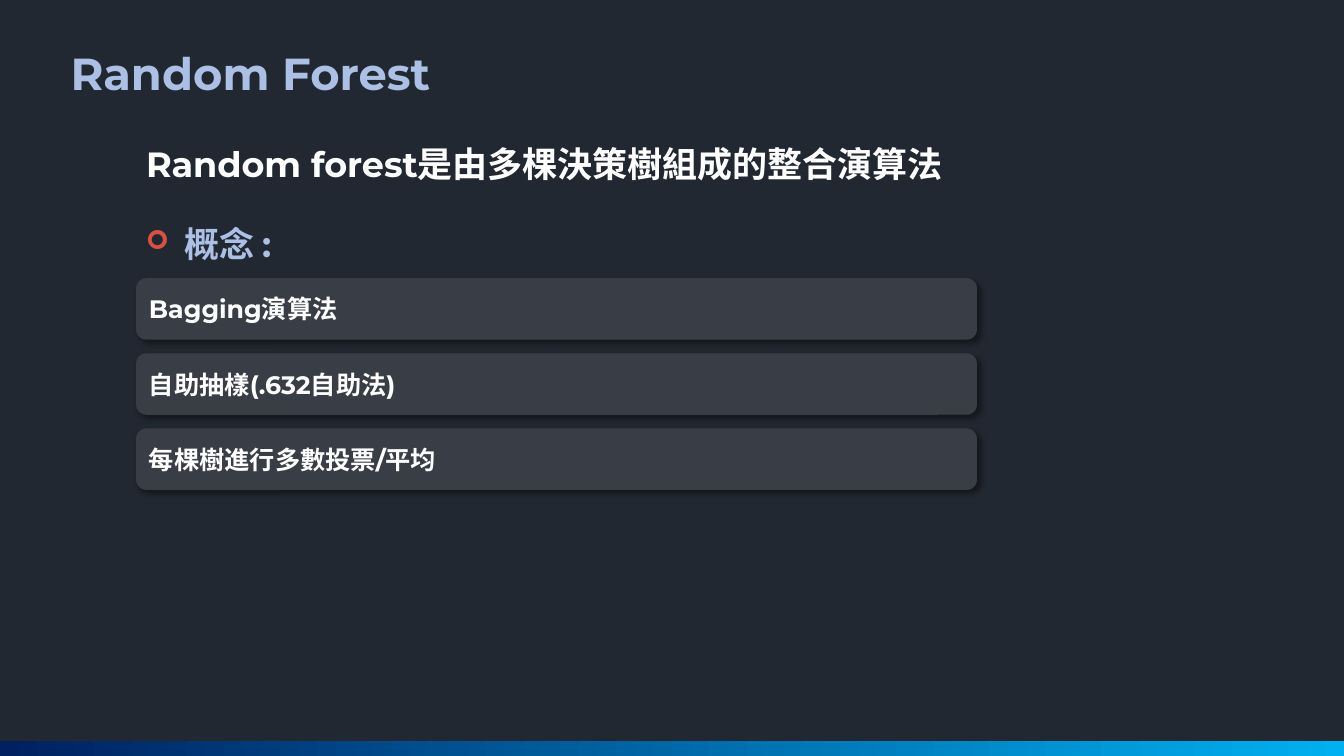
from lxml import etree
from pptx import Presentation
from pptx.dml.color import RGBColor
from pptx.enum.dml import MSO_FILL
from pptx.enum.shapes import MSO_SHAPE
from pptx.enum.text import MSO_ANCHOR, MSO_AUTO_SIZE, PP_ALIGN
from pptx.oxml import parse_xml
from pptx.oxml.ns import nsdecls, qn
from pptx.util import Inches, Pt

RECT, ROUNDED = MSO_SHAPE.RECTANGLE, MSO_SHAPE.ROUNDED_RECTANGLE
TOP, MIDDLE = MSO_ANCHOR.TOP, MSO_ANCHOR.MIDDLE
LEFT, NO_FIT = PP_ALIGN.LEFT, MSO_AUTO_SIZE.NONE

FONT = "Montserrat"
NIGHT = RGBColor(0x22, 0x28, 0x31)
SLATE = RGBColor(0x39, 0x3E, 0x46)
WHITE = RGBColor(0xFF, 0xFF, 0xFF)
PERIWINKLE = RGBColor(0xAB, 0xC0, 0xE4)
NAVY = RGBColor(0x00, 0x20, 0x60)
SKY = RGBColor(0x00, 0xB0, 0xF0)

WIDTH, HEIGHT = 13.33, 7.5
CONCEPTS = ["Bagging演算法", "自助抽樣(.632自助法)", "每棵樹進行多數投票/平均"]


def write(shape, text, size=18, color=WHITE, anchor=TOP, wrap=True, bullet=False):
    frame = shape.text_frame
    frame.auto_size = NO_FIT
    frame.word_wrap = wrap
    frame.vertical_anchor = anchor
    paragraph = frame.paragraphs[0]
    paragraph.alignment = LEFT
    if bullet:
        add_arrow_bullet(paragraph)
    run = paragraph.add_run()
    run.text = text
    run.font.name = FONT
    run.font.size = Pt(size)
    run.font.bold = True
    run.font.color.rgb = color


def add_arrow_bullet(paragraph):
    properties = paragraph._p.get_or_add_pPr()
    indent = Inches(0.38)
    properties.set("marL", str(indent))
    properties.set("indent", str(-indent))
    color = etree.SubElement(properties, qn("a:buClr"))
    etree.SubElement(color, qn("a:srgbClr"), val="D75244")
    etree.SubElement(properties, qn("a:buSzPct"), val="75000")
    etree.SubElement(properties, qn("a:buFont"), typeface="Wingdings")
    etree.SubElement(properties, qn("a:buChar"), char="➢")


def add_shadow(shape):
    shape.shadow.inherit = False
    effects = shape._element.spPr.find(qn("a:effectLst"))
    effects.append(parse_xml(
        f'<a:outerShdw {nsdecls("a")} blurRad="{Pt(4)}" dist="{Pt(3)}" '
        'dir="2700000" algn="tl" rotWithShape="0">'
        '<a:srgbClr val="000000"><a:alpha val="40000"/></a:srgbClr></a:outerShdw>'))


def add_footer_band(slide, left, top, width, height):
    band = slide.shapes.add_shape(RECT, *map(Inches, (left, top, width, height)))
    band.shadow.inherit = False
    band.line.fill.background()
    band.fill.gradient()
    if band.fill.type == MSO_FILL.GRADIENT:
        band.fill.gradient_angle = 0
    for stop, color in zip(band.fill.gradient_stops, (NAVY, SKY)):
        stop.color.rgb = color


def add_title(slide, left, top, width, height):
    title = slide.shapes.title
    title.left, title.top, title.width, title.height = map(
        Inches, (left, top, width, height))
    write(title, "Random Forest", size=32, color=PERIWINKLE, wrap=False)


def add_introduction(slide, left, top, width):
    summary = slide.shapes.add_textbox(*map(Inches, (left, top, width, 0.52)))
    write(summary, "Random forest是由多棵決策樹組成的整合演算法", size=25)
    heading = slide.shapes.add_textbox(*map(Inches, (left, top + 0.8, 7.74, 0.94)))
    write(heading, "概念 :", size=25, color=PERIWINKLE, bullet=True)


def add_concept_cards(slide, left, top, width, card_height=0.61, pitch=0.745):
    for row, concept in enumerate(CONCEPTS):
        card = slide.shapes.add_shape(
            ROUNDED, *map(Inches, (left, top + row * pitch, width, card_height)))
        card.fill.solid()
        card.fill.fore_color.rgb = SLATE
        card.line.fill.background()
        add_shadow(card)
        write(card, concept, anchor=MIDDLE)


def main():
    deck = Presentation()
    deck.slide_width, deck.slide_height = Inches(WIDTH), Inches(HEIGHT)
    slide = deck.slides.add_slide(deck.slide_layouts[5])
    slide.background.fill.solid()
    slide.background.fill.fore_color.rgb = NIGHT

    # Gradient strip along the bottom edge
    add_footer_band(slide, 0, HEIGHT - 0.15, WIDTH, 0.15)
    # Title, summary and concept heading
    add_title(slide, 0.6, 0.4, 3.91, 0.64)
    add_introduction(slide, 1.35, 1.36, 9.92)
    # Concept cards
    add_concept_cards(slide, 1.35, 2.76, 8.34)

    deck.save("out.pptx")


if __name__ == "__main__":
    main()
